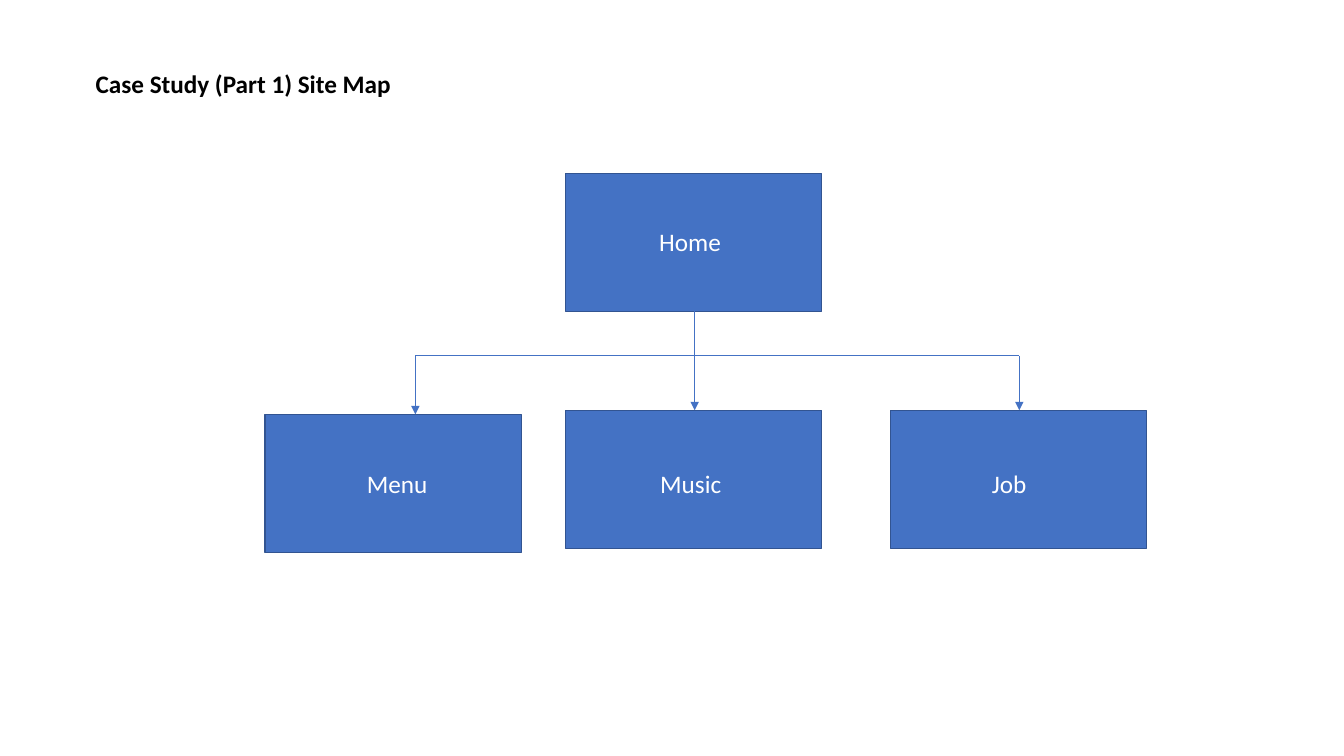
"""Build the site map slide."""
from dataclasses import dataclass

from pptx import Presentation
from pptx import util as u
from pptx.dml.color import RGBColor
from pptx.enum import shapes, text
from pptx.oxml.ns import qn
from lxml import etree


@dataclass(frozen=True)
class Theme:
    """Colours, font and sizes of the slide."""
    fill: RGBColor = RGBColor(0x44, 0x72, 0xC4)
    border: RGBColor = RGBColor(0x32, 0x54, 0x91)
    dark: RGBColor = RGBColor(0, 0, 0)
    light: RGBColor = RGBColor(255, 255, 255)
    font: str = "Calibri"
    size: int = 18
    border_width: float = 1
    link_width: float = 0.5


def apply(target, values):
    """Set each named attribute of target."""
    for name, value in values.items():
        setattr(target, name, value)


class SiteMap:
    """Holds the theme and the current slide."""

    def __init__(self, slide, theme):
        """Keep the slide and theme to draw with."""
        self.s, self.theme = slide, theme

    def box(self, left, top, width, height):
        """Add a page rectangle."""
        sp = self.s.shapes.add_shape(
            shapes.MSO_SHAPE.RECTANGLE, *map(u.Inches, (left, top, width, height)))
        sp.shadow.inherit = False
        sp.fill.solid()
        sp.fill.fore_color.rgb = self.theme.fill
        sp.line.color.rgb = self.theme.border
        sp.line.width = u.Pt(self.theme.border_width)

    def label(self, words, left, top, width, color, bold=False):
        """Add one line of text."""
        sp = self.s.shapes.add_textbox(*map(u.Inches, (left, top, width, 0.4)))
        apply(sp.text_frame, {"word_wrap": True,
                              "auto_size": text.MSO_AUTO_SIZE.SHAPE_TO_FIT_TEXT})
        r = sp.text_frame.paragraphs[0].add_run()
        r.text = words
        apply(r.font, {"name": self.theme.font, "size": u.Pt(self.theme.size),
                       "bold": bold})
        r.font.color.rgb = color

    def link(self, x1, y1, x2, y2, arrow=False):
        """Add a straight line, with an arrowhead at its end if asked."""
        sp = self.s.shapes.add_connector(
            shapes.MSO_CONNECTOR.STRAIGHT, *map(u.Inches, (x1, y1, x2, y2)))
        sp.line.color.rgb = self.theme.fill
        sp.line.width = u.Pt(self.theme.link_width)
        if arrow:
            etree.SubElement(sp.line._get_or_add_ln(), qn("a:tailEnd"), type="triangle")
        etree.SubElement(sp._element.spPr, qn("a:effectLst"))


BOX_W, BOX_H = 2.54, 1.37
LABEL_W = 1.16
HOME_TOP, BRANCH_Y = 1.72, 3.53
HOME_X = 6.89
# page name, box left, box top, label left, label top
HOME = ("Home", 5.61, HOME_TOP, 6.44, 2.2)
CHILDREN = [("Menu", 2.63, 4.11, 3.54, 4.6),
            ("Music", 5.61, 4.07, 6.45, 4.6),
            ("Job", 8.83, 4.07, 9.74, 4.6)]
ARROW_XS = [4.12, HOME_X, 10.11]


def main():
    """Draw the site map and save it."""
    prs = Presentation()
    apply(prs, {"slide_width": u.Inches(13.33), "slide_height": u.Inches(7.5)})
    theme = Theme()
    site = SiteMap(prs.slides.add_slide(prs.slide_layouts[6]), theme)

    pages = [HOME, *CHILDREN]
    for _, left, top, _, _ in pages:
        site.box(left, top, BOX_W, BOX_H)
    site.label("Case Study (Part 1) Site Map", 0.85, 0.63, 3.56, theme.dark, bold=True)
    for name, _, _, left, top in pages:
        site.label(name, left, top, LABEL_W, theme.light)

    site.link(HOME_X, HOME_TOP + BOX_H, HOME_X, BRANCH_Y)
    site.link(ARROW_XS[0], BRANCH_Y, ARROW_XS[-1], BRANCH_Y)
    for x, (_, _, top, _, _) in zip(ARROW_XS, CHILDREN):
        site.link(x, BRANCH_Y, x, top, arrow=True)

    prs.save("out.pptx")


main()
